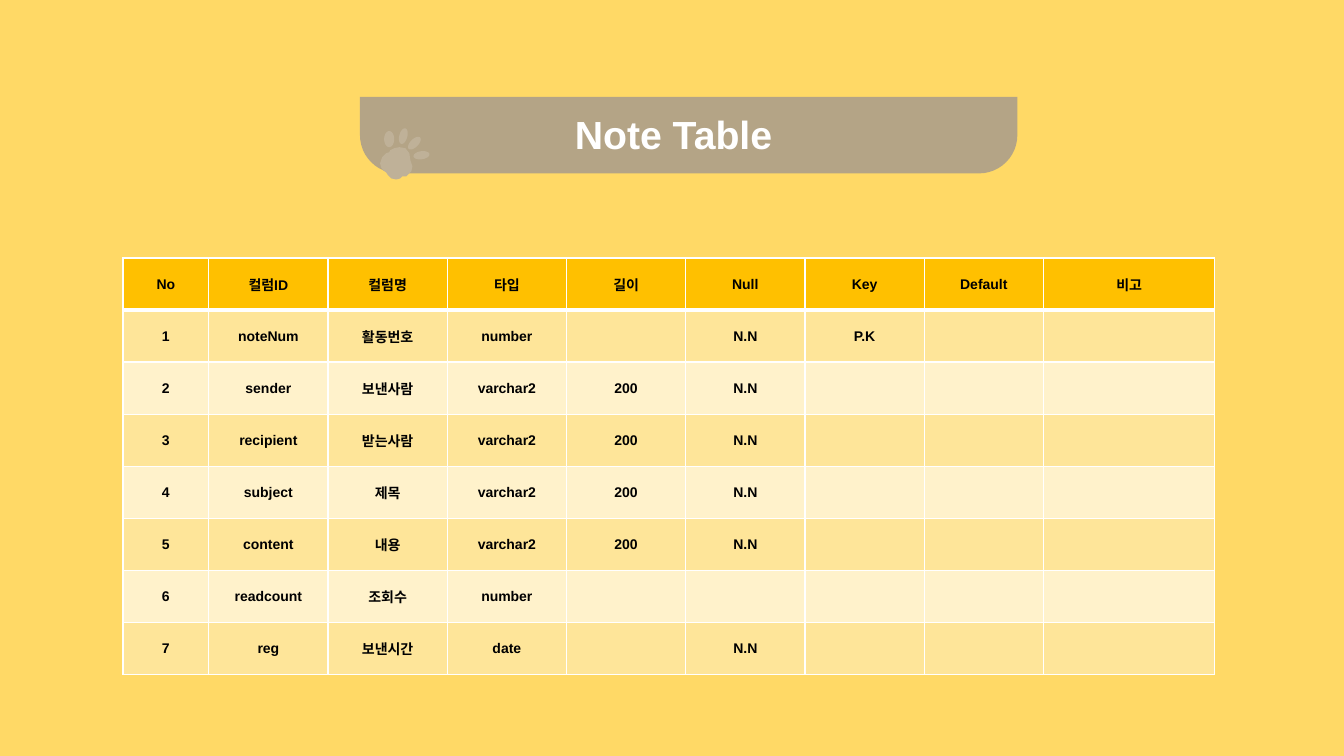
import math
from dataclasses import dataclass

import pptx
import pptx.dml.color
import pptx.enum.shapes
import pptx.enum.text
import pptx.oxml
import pptx.oxml.ns
import pptx.util
from pptx.util import Inches


@dataclass(frozen=True)
class Theme:
    background: str = "FFD966"
    banner: str = "B4A486"
    paw: str = "BFB198"
    header: str = "FFC000"
    bands: tuple = ("FEE599", "FFF2CB")
    white: str = "FFFFFF"
    black: str = "000000"
    font: str = "Arial"
    title_size: int = 28
    cell_size: int = 10
    border: int = 1
    header_border: int = 3


@dataclass(frozen=True)
class Box:
    left: float
    top: float
    width: float
    height: float


THEME = Theme()
BANNER_BOX = Box(3.57, 0.96, 6.52, 0.76)
TABLE_BOX = Box(1.22, 2.56, 10.83, 4.13)
NUMBER_WIDTH, REMARK_WIDTH = 0.85, 1.7

ROWS = [
    ("No", "컬럼ID", "컬럼명", "타입", "길이", "Null", "Key", "Default", "비고"),
    ("1", "noteNum", "활동번호", "number", "", "N.N", "P.K", "", ""),
    ("2", "sender", "보낸사람", "varchar2", "200", "N.N", "", "", ""),
    ("3", "recipient", "받는사람", "varchar2", "200", "N.N", "", "", ""),
    ("4", "subject", "제목", "varchar2", "200", "N.N", "", "", ""),
    ("5", "content", "내용", "varchar2", "200", "N.N", "", "", ""),
    ("6", "readcount", "조회수", "number", "", "", "", "", ""),
    ("7", "reg", "보낸시간", "date", "", "N.N", "", "", ""),
]

TOES = [
    (0.41, 0.27, 0.08, 0.04, -8),
    (0.34, 0.15, 0.08, 0.04, -45),
    (0.09, 0.11, 0.08, 0.05, 90),
    (0.23, 0.08, 0.08, 0.04, -75),
]
PAD = [
    (0.19, 0.19), (0.25, 0.2), (0.29, 0.25), (0.3, 0.32), (0.32, 0.38),
    (0.31, 0.43), (0.26, 0.48), (0.22, 0.48), (0.2, 0.5), (0.16, 0.51),
    (0.11, 0.5), (0.08, 0.47), (0.06, 0.44), (0.03, 0.42), (0.01, 0.39),
    (0, 0.35), (0.02, 0.29), (0.06, 0.25), (0.09, 0.24), (0.1, 0.22),
    (0.14, 0.2),
]


def rgb(value):
    return pptx.dml.color.RGBColor.from_string(value)


def write(frame, text, *, size, color, bold=True):
    para = frame.paragraphs[0]
    para.alignment = pptx.enum.text.PP_ALIGN.CENTER
    span = para.add_run()
    span.text = text
    span.font.name = THEME.font
    span.font.size = pptx.util.Pt(size)
    span.font.bold = bold
    span.font.color.rgb = rgb(color)


def paint(shape, color):
    shape.shadow.inherit = False
    shape.fill.solid()
    shape.fill.fore_color.rgb = rgb(color)
    shape.line.fill.background()


def ellipse(center_x, center_y, long_radius, short_radius, degrees, steps=24):
    tilt = math.radians(degrees)
    points = []
    for step in range(steps):
        turn = 2 * math.pi * step / steps
        along, across = long_radius * math.cos(turn), short_radius * math.sin(turn)
        points.append((
            center_x + along * math.cos(tilt) - across * math.sin(tilt),
            center_y + along * math.sin(tilt) + across * math.cos(tilt),
        ))
    return points


def add_paw(shapes, left, top):
    outlines = [
        [(Inches(left + x), Inches(top + y)) for x, y in outline]
        for outline in [PAD] + [ellipse(*toe) for toe in TOES]
    ]
    builder = shapes.build_freeform(*outlines[0][0], scale=1.0)
    for index, outline in enumerate(outlines):
        if index:
            builder.move_to(*outline[0])
        builder.add_line_segments(outline[1:], close=True)
    paint(builder.convert_to_shape(), THEME.paw)


def add_banner(page, box, title):
    shapes = page.shapes.add_group_shape().shapes
    plate = shapes.add_shape(
        pptx.enum.shapes.MSO_SHAPE.ROUND_2_SAME_RECTANGLE,
        Inches(box.left), Inches(box.top), Inches(box.width), Inches(box.height),
    )
    plate.rotation = 180
    plate.adjustments[0] = 0.5
    plate.adjustments[1] = 0
    paint(plate, THEME.banner)
    label = shapes.add_textbox(
        Inches(box.left + 2.01), Inches(box.top + 0.09), Inches(2.2), Inches(0.56)
    )
    label.text_frame.word_wrap = False
    write(label.text_frame, title, size=THEME.title_size, color=THEME.white)
    add_paw(shapes, box.left + 0.2, box.top + 0.31)


def set_border(cell, side, points):
    cell._tc.get_or_add_tcPr().append(pptx.oxml.parse_xml(
        f'<a:ln{side} {pptx.oxml.ns.nsdecls("a")} w="{pptx.util.Pt(points)}">'
        f'<a:solidFill><a:srgbClr val="{THEME.white}"/></a:solidFill></a:ln{side}>'
    ))


def style_cell(cell, text, row_index):
    thick_side = {0: "B", 1: "T"}.get(row_index)
    for side in "LRTB":
        set_border(cell, side, THEME.header_border if side == thick_side else THEME.border)
    cell.fill.solid()
    color = THEME.bands[(row_index - 1) % 2] if row_index else THEME.header
    cell.fill.fore_color.rgb = rgb(color)
    cell.margin_left = cell.margin_right = cell.margin_top = Inches(0.01)
    cell.margin_bottom = 0
    cell.vertical_anchor = pptx.enum.text.MSO_ANCHOR.MIDDLE
    if text:
        write(cell.text_frame, text, size=THEME.cell_size, color=THEME.black)


def add_column_table(page, box, rows):
    count = len(rows[0])
    table = page.shapes.add_table(
        len(rows), count,
        Inches(box.left), Inches(box.top), Inches(box.width), Inches(box.height),
    ).table
    shared = (box.width - NUMBER_WIDTH - REMARK_WIDTH) / (count - 2)
    widths = [NUMBER_WIDTH] + [shared] * (count - 2) + [REMARK_WIDTH]
    for column, width in zip(table.columns, widths):
        column.width = Inches(width)
    for row_index, texts in enumerate(rows):
        table.rows[row_index].height = Inches(box.height / len(rows))
        for column_index, text in enumerate(texts):
            style_cell(table.cell(row_index, column_index), text, row_index)


def main():
    deck = pptx.Presentation()
    deck.slide_width, deck.slide_height = Inches(13.33), Inches(7.5)
    page = deck.slides.add_slide(deck.slide_layouts[6])
    page.background.fill.solid()
    page.background.fill.fore_color.rgb = rgb(THEME.background)
    add_column_table(page, TABLE_BOX, ROWS)
    add_banner(page, BANNER_BOX, "Note Table")
    deck.save("out.pptx")


if __name__ == "__main__":
    main()
